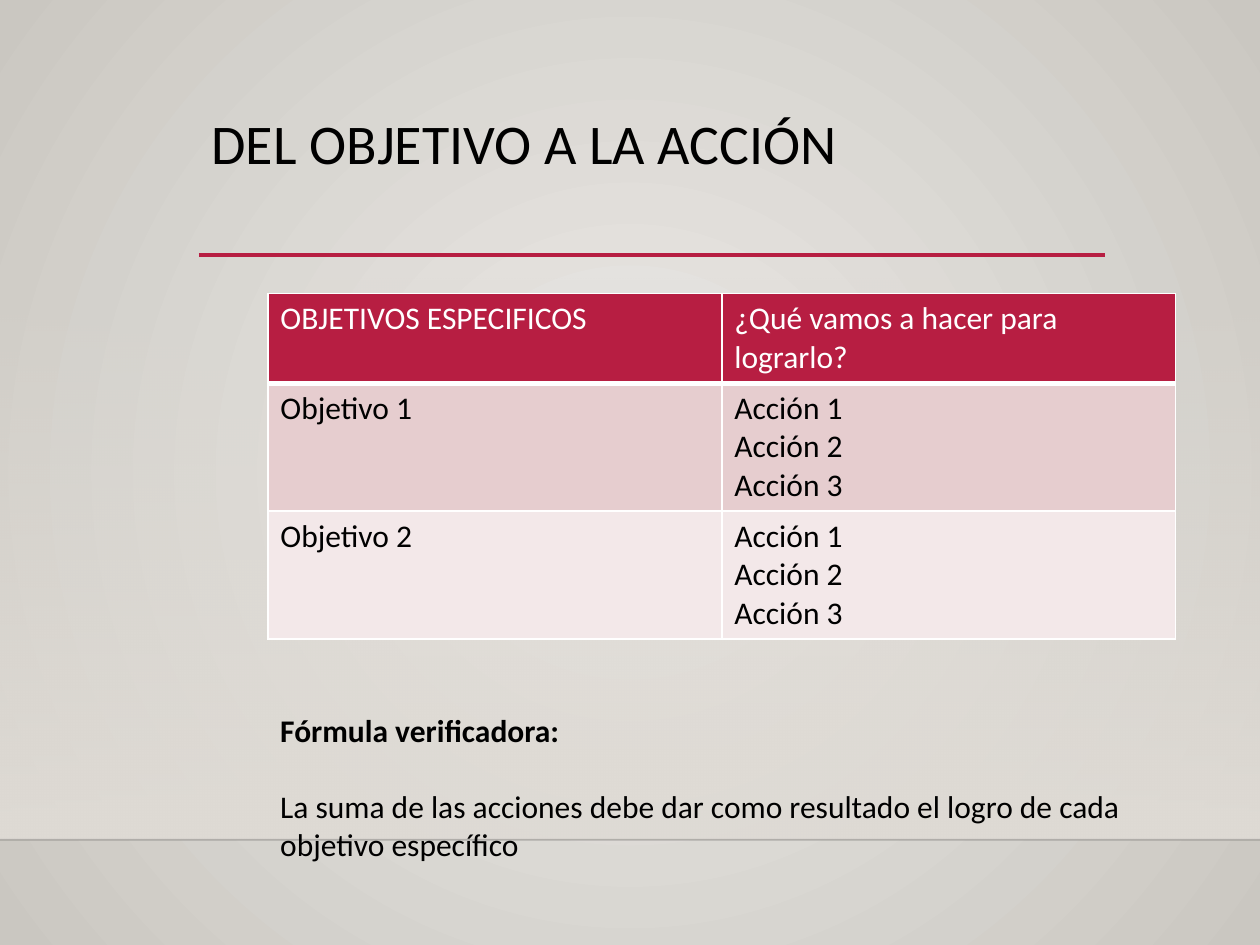
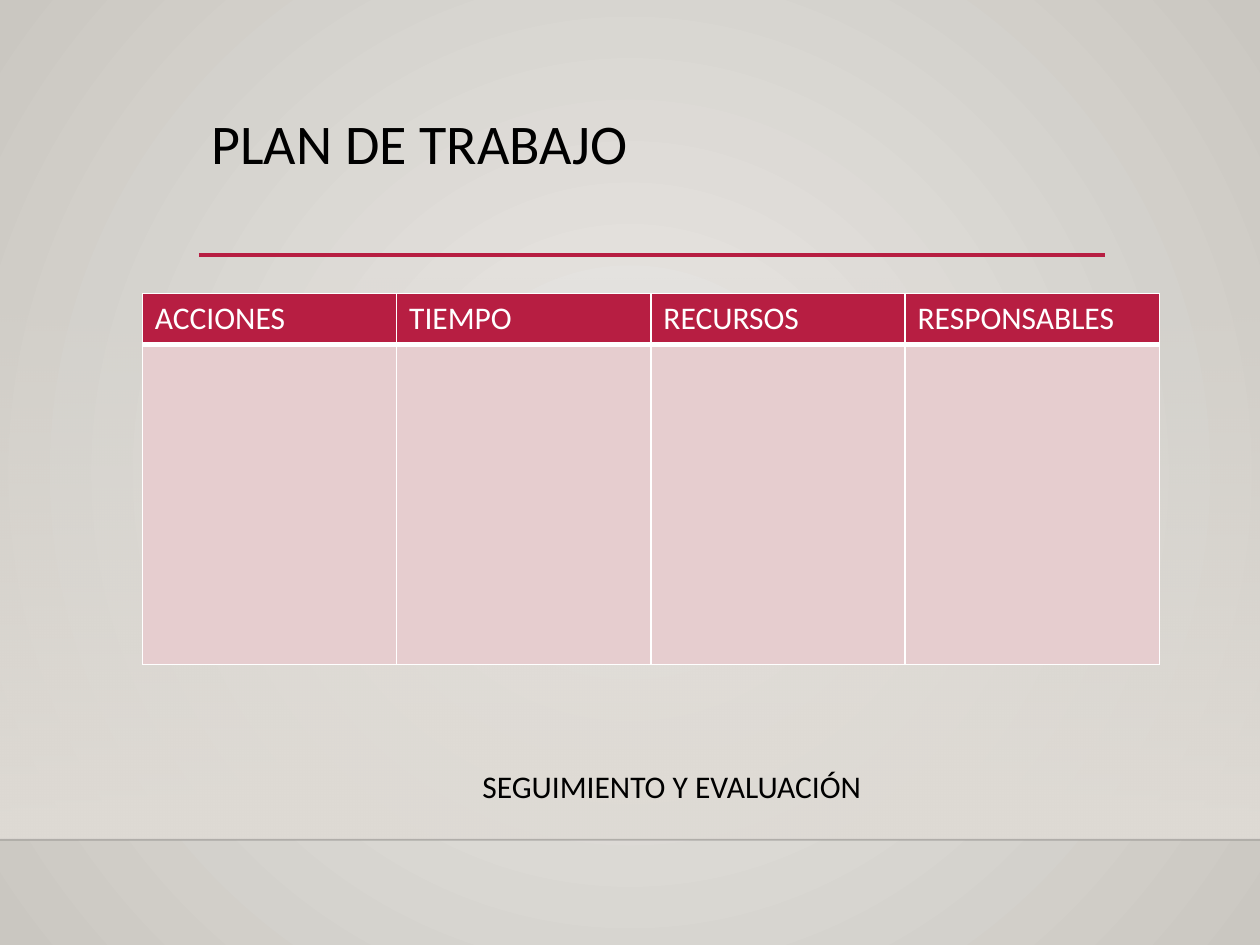
from dataclasses import dataclass

from lxml.etree import SubElement
from pptx import Presentation
from pptx.dml.color import RGBColor
from pptx.enum.shapes import MSO_CONNECTOR, MSO_SHAPE
from pptx.enum.text import MSO_ANCHOR, MSO_AUTO_SIZE, PP_ALIGN
from pptx.oxml import parse_xml
from pptx.oxml.ns import nsdecls, qn
from pptx.util import Cm, Pt


@dataclass(frozen=True)
class Theme:
    font: str = "Calibri"
    head: int = 32
    text: int = 18
    ink: str = "000000"
    white: str = "FFFFFF"
    red: str = "B71E42"
    rose: str = "E6CDCF"
    blush: str = "F3E8E9"
    light: str = "ECEAE7"
    dark: str = "CAC7C1"
    sand: str = "DFDBD5"
    edge: str = "000001"


@dataclass(frozen=True)
class Box:
    x: float
    y: float
    w: float
    h: float

    def place(self):
        return Cm(self.x), Cm(self.y), Cm(self.w), Cm(self.h)


THEME = Theme()
WIDE, HIGH = 25.4, 19.05
TITLE = Box(4.01, 2.22, 18.27, 2.92)
BAND = Box(0, 5.6, WIDE, 11.33)


def color(name):
    return RGBColor.from_string(name)


def style(par, size=THEME.text, tint=THEME.ink, bold=False):
    font = par.font
    font.name, font.size, font.bold = THEME.font, Pt(size), bold
    font.color.rgb = color(tint)


def blend(fill, first, last):
    fill.gradient()
    for stop, tint in zip(fill.gradient_stops, (first, last)):
        stop.color.rgb = color(tint)


def fade(item, amount):
    """Set the opacity, in percent, of the first colour in an element."""
    tone = next(item.iter(qn("a:srgbClr")))
    SubElement(tone, qn("a:alpha"), val=str(amount * 1000))


def rule(shapes, x, y, width, tint, weight):
    line = shapes.add_connector(
        MSO_CONNECTOR.STRAIGHT, Cm(x), Cm(y), Cm(x + width), Cm(y))
    line.line.color.rgb = color(tint)
    line.line.width = Pt(weight)
    SubElement(line.element.spPr, qn("a:effectLst"))
    return line


# Shared background: round gradient on the master
def paint(master):
    blend(master.background.fill, THEME.light, THEME.dark)
    grad = next(master.element.iter(qn("a:gradFill")))
    grad.remove(grad.find(qn("a:lin")))
    grad.append(parse_xml(
        f'<a:path {nsdecls("a")} path="circle">'
        '<a:fillToRect l="50000" t="50000" r="50000" b="50000"/></a:path>'))


# Shared band, floor line and title rule, kept on the layout
def dress(layout, slide, box):
    shapes = slide.shapes
    band = shapes.add_shape(MSO_SHAPE.RECTANGLE, *box.place())
    band.shadow.inherit = False
    band.line.fill.background()
    blend(band.fill, THEME.sand, THEME.sand)
    band.fill.gradient_angle = 270
    fade(band.element.spPr, 0)
    floor = rule(shapes, box.x, box.y + box.h, box.w, THEME.edge, 1)
    fade(floor.element.spPr, 20)
    under = rule(shapes, TITLE.x, TITLE.y + TITLE.h, TITLE.w, THEME.red, 2.5)
    for spot, part in enumerate((band, floor, under), 2):
        layout.shapes.element.insert(spot, part.element)


def title(slide, box, text):
    head = slide.shapes.title
    head.left, head.top, head.width, head.height = box.place()
    frame = head.text_frame
    frame.text = text
    frame.vertical_anchor = MSO_ANCHOR.TOP
    frame.auto_size = MSO_AUTO_SIZE.NONE
    par = frame.paragraphs[0]
    par.alignment, par.line_spacing = PP_ALIGN.LEFT, 0.9
    style(par, THEME.head)


def border(cell, base):
    props = cell._tc.get_or_add_tcPr()
    for side, weight in zip("LRTB", (1, 1, 1, base)):
        props.append(parse_xml(
            f'<a:ln{side} {nsdecls("a")} w="{Pt(weight)}"><a:solidFill>'
            f'<a:srgbClr val="{THEME.white}"/></a:solidFill></a:ln{side}>'))


# Table with a red header and banded rows
def grid(slide, box, rows, highs):
    table = slide.shapes.add_table(
        len(rows), len(rows[0]), *box.place()).table
    for col in table.columns:
        col.width = Cm(box.w / len(rows[0]))
    for i, (row, high) in enumerate(zip(rows, highs)):
        table.rows[i].height = Cm(high)
        fill = (THEME.rose if i % 2 else THEME.blush) if i else THEME.red
        for j, text in enumerate(row):
            cell = table.cell(i, j)
            cell.text = text
            border(cell, 1 if i else 3)
            cell.fill.solid()
            cell.fill.fore_color.rgb = color(fill)
            for par in cell.text_frame.paragraphs:
                style(par, tint=THEME.ink if i else THEME.white)


def note(slide, box, lines, align=PP_ALIGN.LEFT, lead=False):
    frame = slide.shapes.add_textbox(*box.place()).text_frame
    frame.word_wrap = True
    frame.text = "\n".join(lines)
    for i, par in enumerate(frame.paragraphs):
        par.alignment = align
        par.space_before = Pt(22 if i else 0)
        style(par, bold=lead and i == 0)


# Slide 1: goals and their actions
def goals(slide):
    title(slide, TITLE, "DEL OBJETIVO A LA ACCIÓN")
    acts = "\n".join(f"Acción {n}" for n in (1, 2, 3))
    rows = [("OBJETIVOS ESPECIFICOS", "¿Qué vamos a hacer para lograrlo?")]
    rows += [(f"Objetivo {n}", acts) for n in (1, 2)]
    grid(slide, Box(5.4, 5.92, 18.3, 6.96), rows, (1.8, 2.58, 2.58))
    note(slide, Box(5.4, 14.2, 18.3, 3.33), (
        "Fórmula verificadora:",
        "La suma de las acciones debe dar como resultado "
        "el logro de cada objetivo específico"), lead=True)


# Slide 2: work plan
def plan(slide):
    title(slide, TITLE, "PLAN DE TRABAJO")
    heads = ("ACCIONES", "TIEMPO", "RECURSOS", "RESPONSABLES")
    grid(slide, Box(2.87, 5.92, 20.5, 7.48),
         (heads, ("",) * len(heads)), (1.03, 6.45))
    note(slide, Box(3.73, 15.34, 19.63, 1.02),
         ("SEGUIMIENTO Y EVALUACIÓN",), PP_ALIGN.CENTER)


def main():
    deck = Presentation()
    deck.slide_width, deck.slide_height = Cm(WIDE), Cm(HIGH)
    layout = deck.slide_layouts[5]
    paint(deck.slide_master)
    first, second = (deck.slides.add_slide(layout) for _ in range(2))
    dress(layout, first, BAND)
    goals(first)
    plan(second)
    deck.save("out.pptx")


if __name__ == "__main__":
    main()
